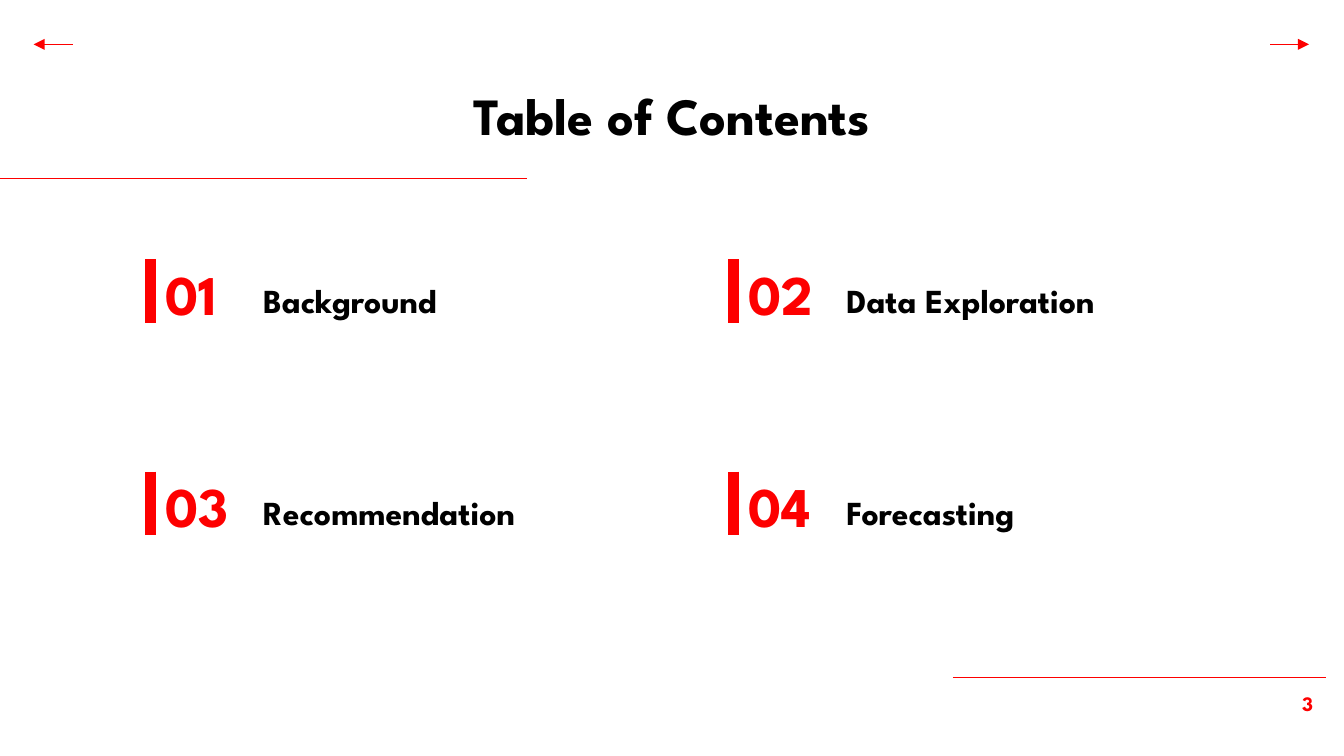
import pptx
import pptx.util
import pptx.dml.color
import pptx.enum.shapes
import pptx.enum.text
import pptx.oxml
from pptx.oxml.ns import qn

Inches = pptx.util.Inches
ALIGN = pptx.enum.text.PP_ALIGN
ANCHOR = pptx.enum.text.MSO_ANCHOR
RED = pptx.dml.color.RGBColor(0xFD, 0, 0)
BLACK = pptx.dml.color.RGBColor(0, 0, 0)
FONT = "League Spartan"

# Content
TITLE = "Table of Contents"
PAGE = "3"
SECTIONS = ["Background", "Data Exploration", "Recommendation", "Forecasting"]

# Grid: two columns, two rows
LEFT, TOP = 1.12, 1.83
COL_STEP, ROW_STEP = 4.34, 1.58

# Text formats
TITLE_FORMAT = dict(size=pptx.util.Pt(28), color=BLACK, align=ALIGN.CENTER)
NUMBER_FORMAT = dict(size=pptx.util.Pt(30), color=RED, inset=0)
NAME_FORMAT = dict(size=pptx.util.Pt(18), color=BLACK, anchor=ANCHOR.BOTTOM)
PAGE_FORMAT = dict(size=pptx.util.Pt(11), color=RED, align=ALIGN.RIGHT)


def write(sp, text, size, color, align=ALIGN.LEFT, anchor=ANCHOR.TOP, inset=0.1):
    tf = sp.text_frame
    frame = dict(word_wrap=True, auto_size=pptx.enum.text.MSO_AUTO_SIZE.NONE,
                 vertical_anchor=anchor, margin_left=Inches(inset),
                 margin_right=Inches(0.1), margin_top=Inches(0.1),
                 margin_bottom=Inches(0.1))
    for name, value in frame.items():
        setattr(tf, name, value)
    p = tf.paragraphs[0]
    p.alignment = align
    r = p.add_run()
    r.text = text
    for name, value in dict(name=FONT, size=size, bold=True).items():
        setattr(r.font, name, value)
    r.font.color.rgb = color


def add_text(s, box, text, fmt):
    write(s.shapes.add_textbox(*map(Inches, box)), text, **fmt)


def add_line(s, x1, y1, x2, y2, width=0.75, arrow=False):
    line = s.shapes.add_connector(pptx.enum.shapes.MSO_CONNECTOR.STRAIGHT,
                                  *map(Inches, (x1, y1, x2, y2)))
    line.line.color.rgb = RED
    line.line.width = pptx.util.Pt(width)
    if arrow:
        tail = pptx.oxml.parse_xml(
            '<a:tailEnd xmlns:a="http://schemas.openxmlformats.org/drawingml/2006/main"'
            ' type="triangle" w="med" len="med"/>')
        line.line._get_or_add_ln().append(tail)
    sp_pr = line._element.spPr
    sp_pr.append(sp_pr.makeelement(qn("a:effectLst"), {}))


# Widescreen 16:9 slide
prs = pptx.Presentation()
prs.slide_width = Inches(10)
prs.slide_height = prs.slide_width * 9 // 16
s = prs.slides.add_slide(prs.slide_layouts[5])

# Rules and page number
add_line(s, -0.02, 1.33, 3.92, 1.33)
add_line(s, 7.09, 5.04, 9.87, 5.04)
add_text(s, (9.23, 5.04, 0.64, 0.43), PAGE, PAGE_FORMAT)

# Title
title = s.shapes.title
title_box = dict(left=1.61, top=0.52, width=6.78, height=0.63)
for name, value in title_box.items():
    setattr(title, name, Inches(value))
write(title, TITLE, **TITLE_FORMAT)

# Numbered sections, each with a bar on its left
for i, section in enumerate(SECTIONS):
    row, col = divmod(i, 2)
    x, y = LEFT + col * COL_STEP, TOP + row * ROW_STEP
    add_text(s, (x + 0.74, y + 0.07, 3.24, 0.58), section, NAME_FORMAT)
    add_text(s, (x + 0.11, y, 0.63, 0.65), f"{i + 1:02}", NUMBER_FORMAT)
    add_line(s, x, y + 0.1, x, y + 0.57, width=6)

# Navigation arrows
add_line(s, 9.45, 0.33, 9.74, 0.33, arrow=True)
add_line(s, 0.54, 0.33, 0.25, 0.33, arrow=True)

prs.save("out.pptx")
